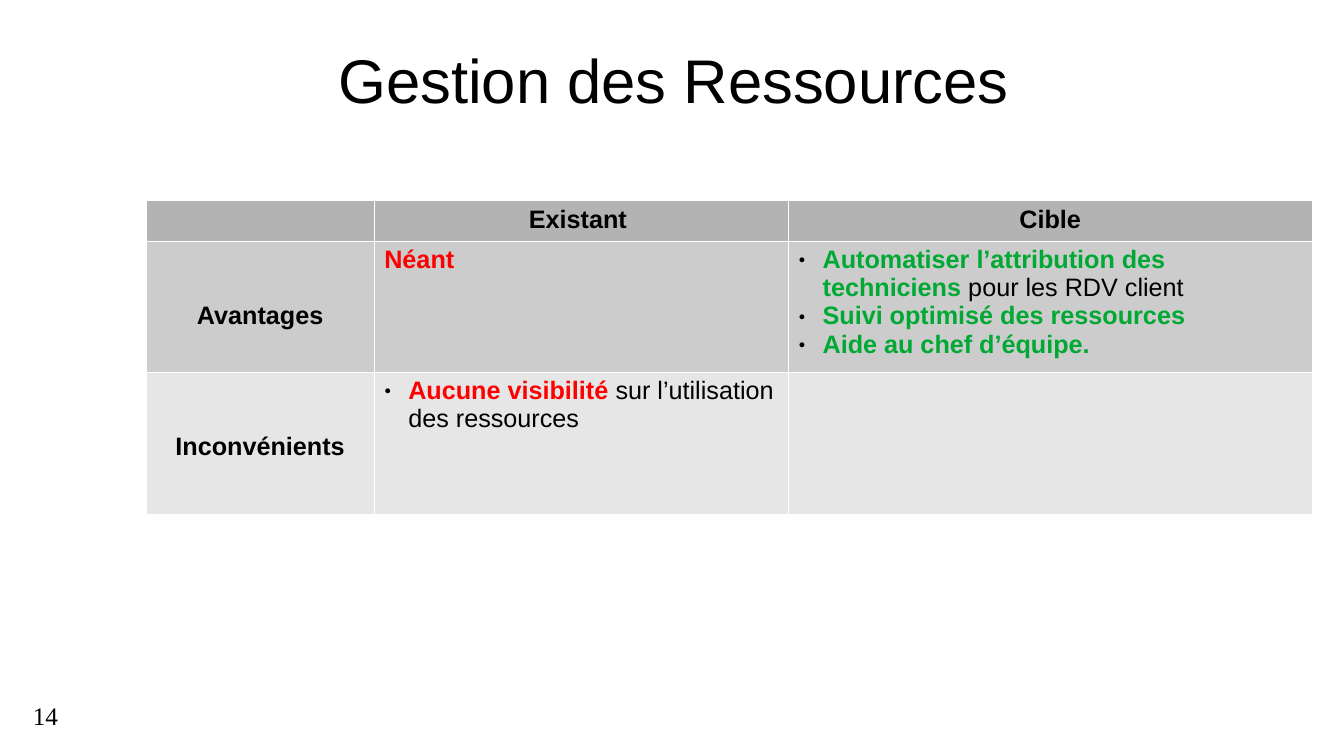
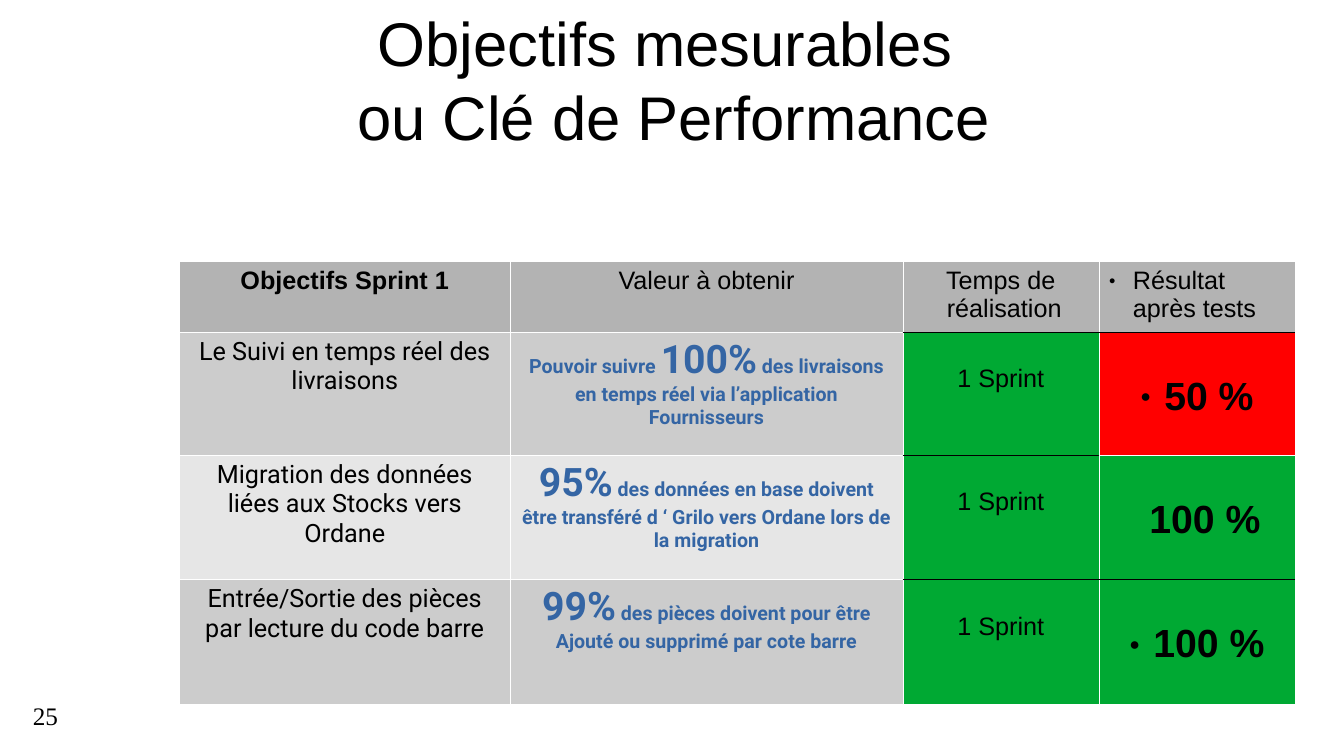
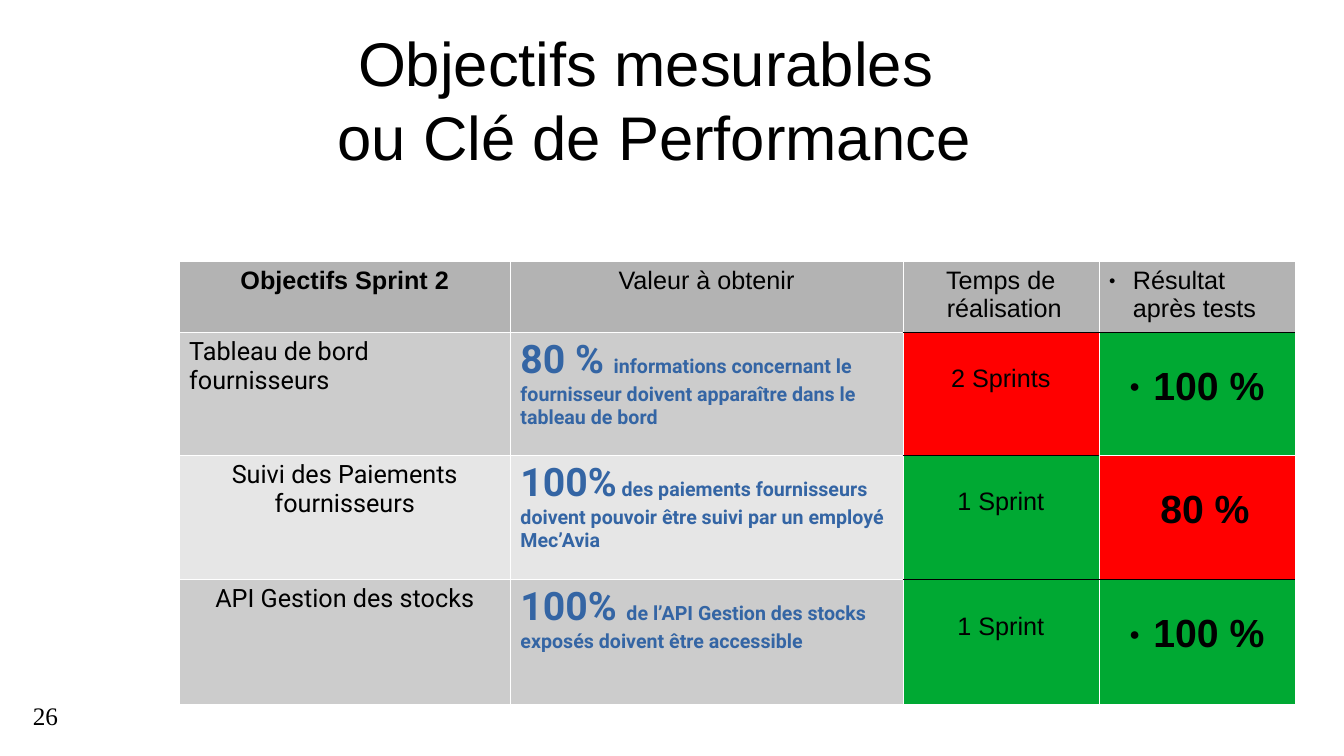
import pptx
import pptx.util
import pptx.dml.color
import pptx.enum.text
import pptx.oxml.ns
import lxml.etree

RGBColor = pptx.dml.color.RGBColor
Pt = pptx.util.Pt
ALIGN = pptx.enum.text.PP_ALIGN
ANCHOR = pptx.enum.text.MSO_ANCHOR

BLACK = RGBColor(0x00, 0x00, 0x00)
WHITE = RGBColor(0xFF, 0xFF, 0xFF)
RED = RGBColor(0xFF, 0x00, 0x00)
GREEN = RGBColor(0x00, 0xA9, 0x33)
BLUE = RGBColor(0x34, 0x65, 0xA4)
HEADER_GREY = RGBColor(0xB3, 0xB3, 0xB3)
DARK_GREY = RGBColor(0xCC, 0xCC, 0xCC)
LIGHT_GREY = RGBColor(0xE6, 0xE6, 0xE6)
ROW_GREYS = [HEADER_GREY, DARK_GREY, LIGHT_GREY, DARK_GREY]

EMU_PER_PX = 9080
SLIDE_SIZE = (1343, 755)
PAGE_NUMBER_BOX = (23, 694, 154, 46)
CELL_TOP = 5
LINE_HEIGHT = 28
BULLET_INDENT = 24
PLAIN_INDENT = 16
BORDER_WIDTH = Pt(0.06)

GOOD = {"color": GREEN, "bold": True}
BAD = {"color": RED, "bold": True}
PLAIN = {}
VALUE = {"color": BLUE, "bold": True, "size": 28}
DETAIL = {"color": BLUE, "bold": True, "size": 14}

RESOURCES = {
    "page": "14",
    "title": ["Gestion des Ressources"],
    "title_box": (198, 20, 951, 118),
    "table_at": (146, 200),
    "columns": [228, 414, 523],
    "rows": [38, 123, 142],
    "headings": ["", "Existant ", "Cible"],
    "criteria": [
        ("Avantages",
         [[("Néant", BAD)]],
         [[("Automatiser l’attribution des techniciens", GOOD), (" pour les RDV client", PLAIN)],
          [("Suivi optimisé des ressources", GOOD)],
          [("Aide au chef d’équipe.", GOOD)]]),
        ("Inconvénients",
         [[("Aucune visibilité", BAD), (" sur l’utilisation des ressources", PLAIN)]],
         []),
    ],
    "unbulleted": {(1, 1)},
}

SPRINT_TABLE = {
    "table_at": (179, 261),
    "columns": [331, 392, 196, 196],
    "rows": [66, 123, 124, 125],
    "black_edges": {(0, 2), (0, 3), (1, 2), (2, 2), (2, 3)},
}

SPRINTS = [
    {
        "page": "25",
        "title": ["Objectifs mesurables ", "ou Clé de Performance"],
        "title_box": (198, 10, 951, 138),
        "heading": "Objectifs Sprint 1",
        "value_align": ALIGN.CENTER,
        "result_top": 43,
        "goals": [
            ("Le Suivi en temps réel des livraisons", ALIGN.CENTER,
             [("Pouvoir suivre ", DETAIL), ("100%", VALUE),
              (" des livraisons en temps réel via l’application Fournisseurs", DETAIL)],
             ("1 Sprint", GREEN), ("50 %", RED)),
            ("Migration des données liées aux Stocks vers Ordane", ALIGN.CENTER,
             [("95%", VALUE),
              (" des données en base doivent être transféré d ‘ Grilo vers Ordane lors de la migration", DETAIL)],
             ("1 Sprint", GREEN), ("100 %", GREEN)),
            ("Entrée/Sortie des pièces par lecture du code barre", ALIGN.CENTER,
             [("99%", VALUE),
              (" des pièces doivent pour être Ajouté ou supprimé par cote barre", DETAIL)],
             ("1 Sprint", GREEN), ("100 %", GREEN)),
        ],
    },
    {
        "page": "26",
        "title": ["Objectifs mesurables ", "ou Clé de Performance"],
        "title_box": (198, 30, 912, 138),
        "heading": "Objectifs Sprint 2",
        "value_align": ALIGN.LEFT,
        "result_top": 33,
        "goals": [
            ("Tableau de bord fournisseurs", ALIGN.LEFT,
             [("80 % ", VALUE),
              ("informations concernant le fournisseur doivent apparaître dans le tableau de bord", DETAIL)],
             ("2 Sprints", RED), ("100 %", GREEN)),
            ("Suivi des Paiements fournisseurs", ALIGN.CENTER,
             [("100%", VALUE),
              (" des paiements fournisseurs doivent pouvoir être suivi par un employé Mec’Avia", DETAIL)],
             ("1 Sprint", GREEN), ("80 %", RED)),
            ("API Gestion des stocks", ALIGN.CENTER,
             [("100% ", VALUE),
              ("de l’API Gestion des stocks exposés doivent être accessible", DETAIL)],
             ("1 Sprint", GREEN), ("100 %", GREEN)),
        ],
    },
]


def px(length):
    return length * EMU_PER_PX


def add_xml(parent, tag, **attributes):
    return lxml.etree.SubElement(parent, pptx.oxml.ns.qn(tag), **attributes)


def set_font(font, name=None, size=None, color=None, bold=None):
    if name:
        font.name = name
    if size:
        font.size = Pt(size)
    if color is not None:
        font.color.rgb = color
    if bold is not None:
        font.bold = bold


def set_indent(paragraph, left, bullet):
    properties = paragraph._p.get_or_add_pPr()
    properties.set("marL", str(px(left)))
    properties.set("indent", str(-px(left) if bullet else 0))
    if bullet:
        color = add_xml(properties, "a:buClr")
        add_xml(color, "a:srgbClr", val=str(BLACK))
        add_xml(properties, "a:buSzPct", val="45000")
        add_xml(properties, "a:buFont", typeface="Arial")
        add_xml(properties, "a:buChar", char="●")


def write(frame, paragraphs, align=ALIGN.LEFT, name="Arial", size=18, bold=False,
          bullet=False, indent=0):
    for index, runs in enumerate(paragraphs):
        paragraph = frame.paragraphs[0] if index == 0 else frame.add_paragraph()
        paragraph.alignment = align
        if bullet or indent:
            set_indent(paragraph, BULLET_INDENT if bullet else indent, bullet)
        set_font(paragraph.font, name, size, BLACK, bold)
        for text, style in runs:
            run = paragraph.add_run()
            run.text = text
            set_font(run.font, **style)


def plain(*lines):
    return [[(line, PLAIN)] for line in lines]


def write_cell(cell, paragraphs, top=CELL_TOP, **style):
    cell.margin_top = px(top)
    write(cell.text_frame, paragraphs, **style)


def set_border(cell, side, color):
    properties = cell._tc.get_or_add_tcPr()
    line = lxml.etree.Element(pptx.oxml.ns.qn("a:" + side), w=str(BORDER_WIDTH))
    fill = add_xml(line, "a:solidFill")
    add_xml(fill, "a:srgbClr", val=str(color))
    properties.insert(["lnL", "lnR", "lnT", "lnB"].index(side), line)


def add_grid(slide, layout):
    columns, rows = layout["columns"], layout["rows"]
    black_edges = layout.get("black_edges", set())
    left, top = layout["table_at"]
    grid = slide.shapes.add_table(len(rows), len(columns), px(left), px(top),
                                  px(sum(columns)), px(sum(rows))).table
    grid.first_row = False
    grid.horz_banding = False
    for column, width in zip(grid.columns, columns):
        column.width = px(width)
    for r, height in enumerate(rows):
        grid.rows[r].height = px(height)
        for c in range(len(columns)):
            cell = grid.cell(r, c)
            edges = [("lnL", WHITE), ("lnR", WHITE),
                     ("lnT", BLACK if (r - 1, c) in black_edges else WHITE),
                     ("lnB", BLACK if (r, c) in black_edges else WHITE)]
            for side, color in edges:
                set_border(cell, side, color)
            fill_cell(cell, ROW_GREYS[r])
    return grid


def fill_cell(cell, color):
    cell.fill.solid()
    cell.fill.fore_color.rgb = color


def add_page(deck, content):
    slide = deck.slides.add_slide(deck.slide_layouts[5])
    title = slide.shapes.title
    title.left, title.top, title.width, title.height = map(px, content["title_box"])
    frame = title.text_frame
    frame.auto_size = pptx.enum.text.MSO_AUTO_SIZE.NONE
    frame.vertical_anchor = ANCHOR.MIDDLE
    frame.margin_left = frame.margin_right = frame.margin_top = frame.margin_bottom = 0
    write(frame, plain(*content["title"]), align=ALIGN.CENTER, size=44)
    number = slide.shapes.add_textbox(*map(px, PAGE_NUMBER_BOX)).text_frame
    number.word_wrap = True
    write(number, plain(content["page"]), name="Times New Roman")
    return slide


def add_resources(deck, content):
    grid = add_grid(add_page(deck, content), content)
    for c, heading in enumerate(content["headings"]):
        if heading:
            write_cell(grid.cell(0, c), plain(heading), align=ALIGN.CENTER, bold=True)
    for r, (criterion, *assessments) in enumerate(content["criteria"], 1):
        write_cell(grid.cell(r, 0), plain(criterion), top=CELL_TOP + 2 * LINE_HEIGHT,
                   align=ALIGN.CENTER, bold=True)
        for c, points in enumerate(assessments, 1):
            write_cell(grid.cell(r, c), points, bullet=(r, c) not in content["unbulleted"])


def add_sprint(deck, content):
    grid = add_grid(add_page(deck, content), SPRINT_TABLE)
    write_cell(grid.cell(0, 0), plain(content["heading"]), align=ALIGN.CENTER, bold=True)
    write_cell(grid.cell(0, 1), plain("Valeur à obtenir"), align=ALIGN.CENTER)
    write_cell(grid.cell(0, 2), plain("Temps de", " réalisation"), align=ALIGN.CENTER)
    write_cell(grid.cell(0, 3), plain("Résultat après tests"), bullet=True)
    for r, (goal, goal_align, target, duration, result) in enumerate(content["goals"], 1):
        write_cell(grid.cell(r, 0), plain(goal), align=goal_align, name="Roboto")
        write_cell(grid.cell(r, 1), [target], align=content["value_align"], name="Roboto")
        write_cell(grid.cell(r, 2), plain(duration[0]), top=CELL_TOP + LINE_HEIGHT,
                   align=ALIGN.CENTER)
        write_cell(grid.cell(r, 3), plain(result[0]), top=content["result_top"],
                   align=ALIGN.CENTER, size=28, bold=True, bullet=r != 2, indent=PLAIN_INDENT)
        fill_cell(grid.cell(r, 2), duration[1])
        fill_cell(grid.cell(r, 3), result[1])


def main():
    deck = pptx.Presentation()
    deck.slide_width, deck.slide_height = map(px, SLIDE_SIZE)
    add_resources(deck, RESOURCES)
    for sprint in SPRINTS:
        add_sprint(deck, sprint)
    deck.save("out.pptx")


if __name__ == "__main__":
    main()
